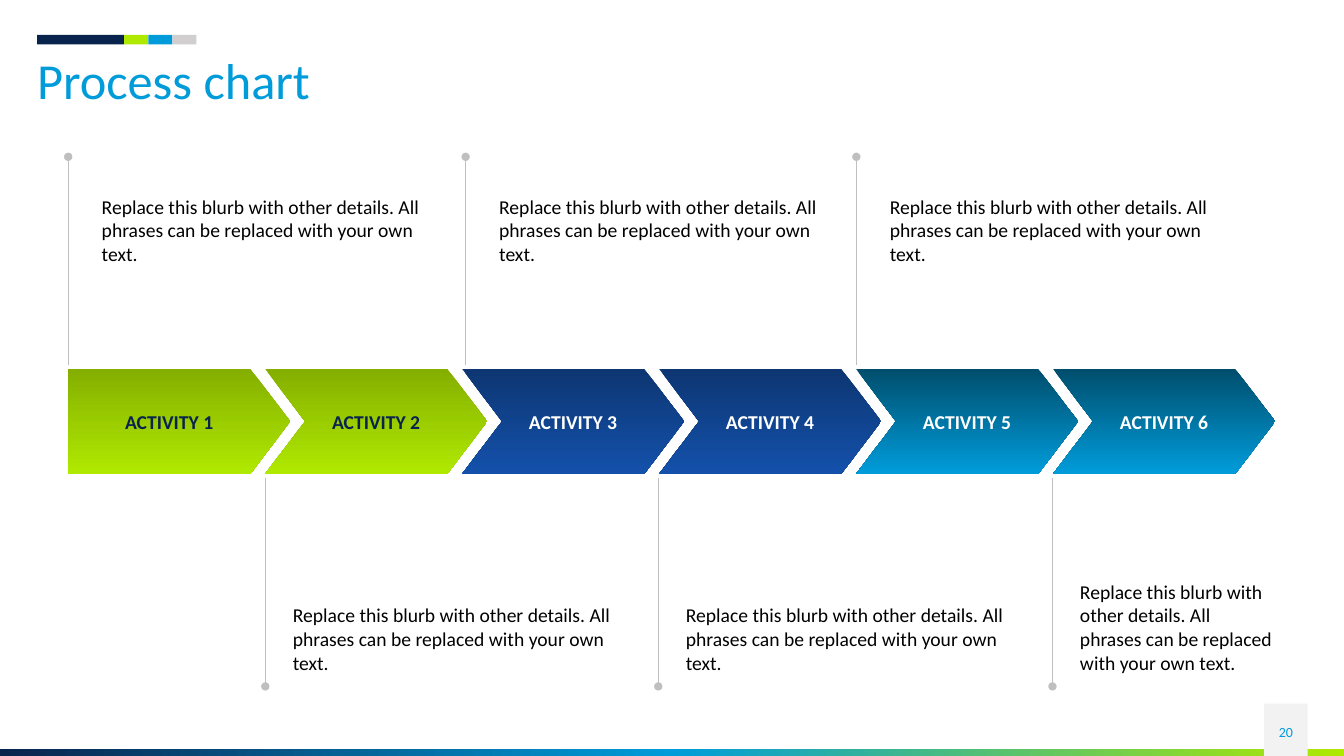
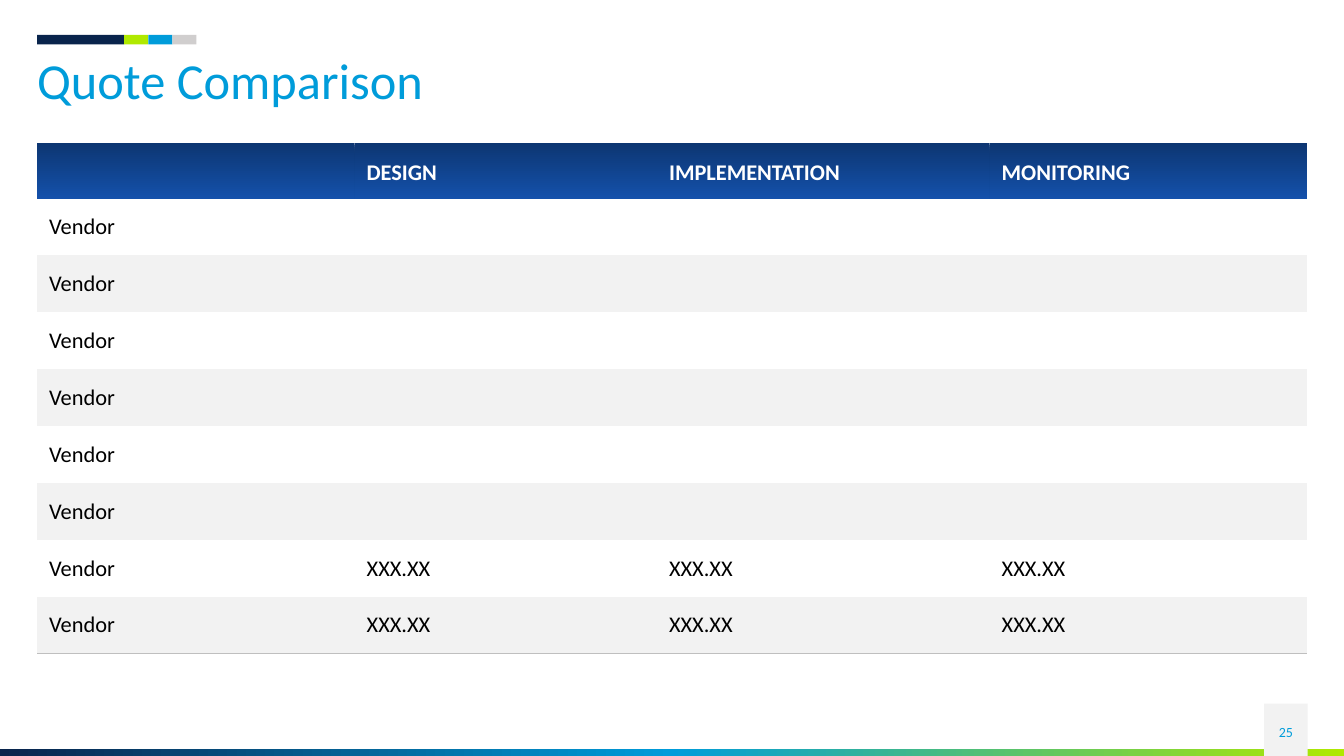
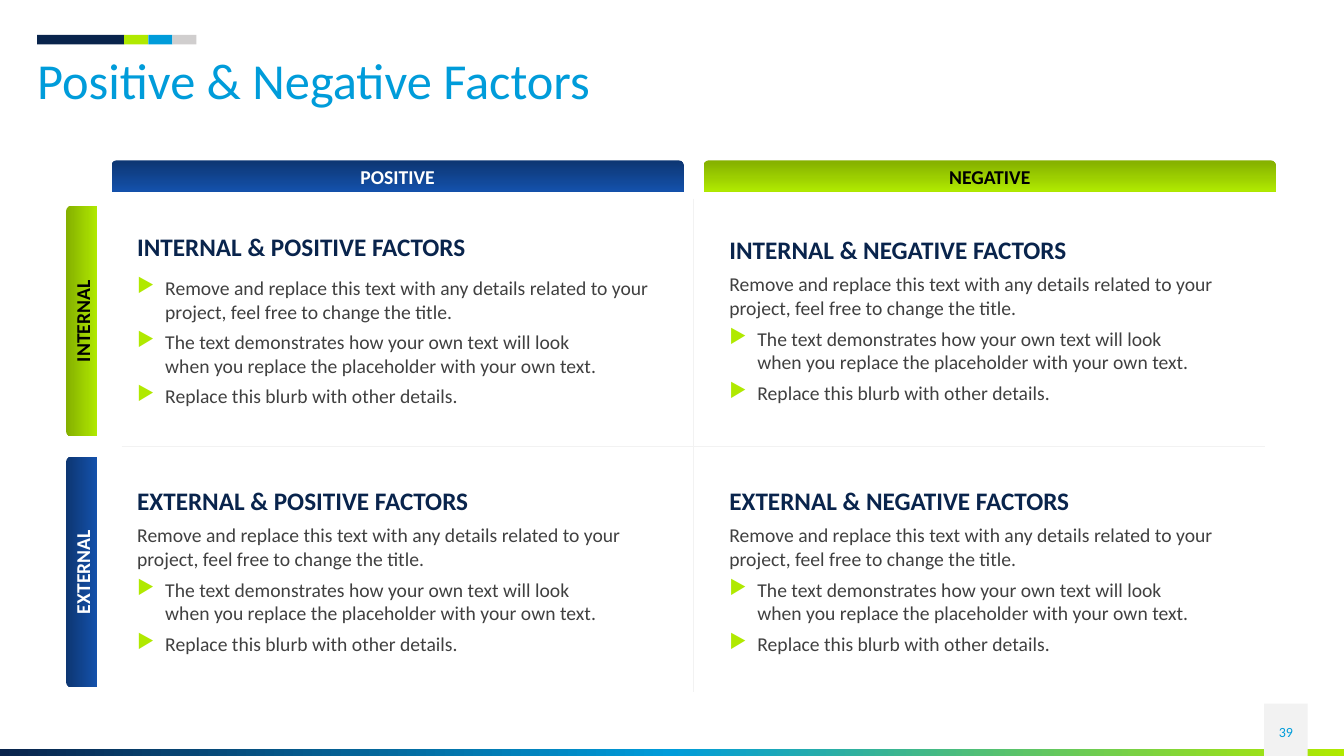
import copy

import lxml.etree
import pptx
import pptx.dml.color
import pptx.enum.shapes
import pptx.enum.text
import pptx.oxml.ns
import pptx.util

Pt = pptx.util.Pt
qn = pptx.oxml.ns.qn
rgb = pptx.dml.color.RGBColor.from_string
SHAPE = pptx.enum.shapes.MSO_SHAPE
ANCHOR = pptx.enum.text.MSO_ANCHOR
CENTER = pptx.enum.text.PP_ALIGN.CENTER

COLORS = {
    "navy": "09244C", "lime": "B0E900", "sky": "009CDA", "silver": "D0CECE",
    "pale": "F2F2F2", "rule": "BFBFBF", "white": "FFFFFF", "black": "000000",
    "body": "404040", "dark lime": "84AF00", "dark blue": "0D3672",
    "blue": "1451AB", "dark sky": "004E6D",
}
LIME = ["dark lime", "lime"]
BLUE = ["dark blue", "blue"]
SKY = ["dark sky", "sky"]
FONT = "Calibri"
MARGIN = 26.5
CONTENT_WIDTH = 907


def add_box(slide, preset, left, top, width, height, colors=()):
    frame = Pt(left), Pt(top), Pt(width), Pt(height)
    if preset is None:
        shape = slide.shapes.add_textbox(*frame)
    else:
        shape = slide.shapes.add_shape(preset, *frame)
        shape.shadow.inherit = False
        shape.line.fill.background()
    if len(colors) == 1:
        shape.fill.solid()
        shape.fill.fore_color.rgb = rgb(COLORS[colors[0]])
    elif colors:
        shape.fill.gradient()
        shape.fill.gradient_angle = 270
        stop_list = next(shape._element.iter(qn("a:gsLst")))
        for _ in colors[2:]:
            stop_list.append(copy.deepcopy(stop_list[0]))
        for index, (stop, color) in enumerate(zip(shape.fill.gradient_stops, colors)):
            stop.color.rgb = rgb(COLORS[color])
            stop.position = index / (len(colors) - 1)
    text_frame = shape.text_frame
    text_frame.word_wrap = True
    text_frame.vertical_anchor = ANCHOR.MIDDLE
    text_frame.margin_left = text_frame.margin_right = 0
    text_frame.margin_top = text_frame.margin_bottom = 0
    return shape


def add_run(paragraph, text, size, color, bold=False):
    run = paragraph.add_run()
    run.text = text
    run.font.name = FONT
    run.font.size = Pt(size)
    run.font.bold = bold
    run.font.color.rgb = rgb(COLORS[color])


presentation = pptx.Presentation()
presentation.slide_width = Pt(960)
presentation.slide_height = Pt(540)

slides = []
for title, number in [("Process chart", "20"), ("Quote Comparison", "25"),
                      ("Positive & Negative Factors", "39")]:
    slide = presentation.slides.add_slide(presentation.slide_layouts[6])
    slides.append(slide)
    footer = add_box(slide, SHAPE.RECTANGLE, 0, 535, 960, 5, ["navy", "sky", "lime"])
    footer.fill.gradient_angle = 0
    add_box(slide, SHAPE.RECTANGLE, 903, 502.7, 31, 37.3, ["pale"])
    left = MARGIN
    for color, width in [("navy", 62.2), ("lime", 17.2), ("sky", 17.2), ("silver", 17.2)]:
        add_box(slide, SHAPE.RECTANGLE, left, 25, width, 6.7, [color])
        left += width
    title_box = add_box(slide, None, MARGIN, 40, CONTENT_WIDTH, 39.6)
    title_box.text_frame.vertical_anchor = ANCHOR.TOP
    paragraph = title_box.text_frame.paragraphs[0]
    paragraph.line_spacing = 0.9
    add_run(paragraph, title, 36, "sky")
    number_box = add_box(slide, None, 903, 508, 31, 29)
    paragraph = number_box.text_frame.paragraphs[0]
    paragraph.alignment = CENTER
    add_run(paragraph, number, 10, "sky")

process_slide, quote_slide, factors_slide = slides

BLURB = ("Replace this blurb with other details. "
         "All phrases can be replaced with your own text.")
callout_lefts = [48.7, 189.5, 332.6, 470.2, 611.7, 751.8]
for index, callout_left in enumerate(callout_lefts):
    preset = SHAPE.CHEVRON if index else SHAPE.PENTAGON
    arrow = add_box(process_slide, preset, 48.7 + 140.7 * index, 263.5, 158.6, 75,
                    [LIME, BLUE, SKY][index // 2])
    arrow.adjustments[0] = 0.38
    paragraph = arrow.text_frame.paragraphs[0]
    paragraph.alignment = CENTER
    add_run(paragraph, f"ACTIVITY {index + 1}", 14, "white" if index > 1 else "navy", True)

    above = index % 2 == 0
    start, end = (260.6, 112) if above else (341.3, 490.3)
    connector = process_slide.shapes.add_connector(
        pptx.enum.shapes.MSO_CONNECTOR.STRAIGHT,
        Pt(callout_left), Pt(start), Pt(callout_left), Pt(end))
    connector.line.color.rgb = rgb(COLORS["rule"])
    connector.line.width = Pt(0.75)
    line = connector._element.spPr.find(qn("a:ln"))
    lxml.etree.SubElement(line, qn("a:tailEnd"), type="oval")
    lxml.etree.SubElement(connector._element.spPr, qn("a:effectLst"))

    width, height = (156.2, 68) if index == 5 else (260.6, 51)
    if above:
        blurb = add_box(process_slide, None, callout_left + 15.3, 139, width, height)
        blurb.text_frame.vertical_anchor = ANCHOR.TOP
    else:
        blurb = add_box(process_slide, None, callout_left + 11, 481.4 - height, width, height)
        blurb.text_frame.vertical_anchor = ANCHOR.BOTTOM
    blurb.text_frame.margin_left = blurb.text_frame.margin_right = Pt(8.64)
    add_run(blurb.text_frame.paragraphs[0], BLURB, 14, "black")

rows = [["", "DESIGN", "IMPLEMENTATION", "MONITORING"]]
rows += [["Vendor", "", "", ""]] * 6
rows += [["Vendor", "XXX.XX", "XXX.XX", "XXX.XX"]] * 2
table = quote_slide.shapes.add_table(
    len(rows), 4, Pt(MARGIN), Pt(102.2), Pt(CONTENT_WIDTH), Pt(365)).table
table._tbl.tblPr.find(qn("a:tableStyleId")).text = "{2D5ABB26-0587-4C30-8999-92F81FD0307C}"
table.horz_banding = False
for column, width in zip(table.columns, [226.8, 216, 237.6, 226.8]):
    column.width = Pt(width)
for row_index, values in enumerate(rows):
    header = row_index == 0
    table.rows[row_index].height = Pt(39.6 if header else 40.65)
    for column_index, value in enumerate(values):
        cell = table.cell(row_index, column_index)
        cell.margin_left = cell.margin_right = Pt(8.64)
        cell.margin_top = cell.margin_bottom = Pt(8.64 if header else 5.76)
        cell.vertical_anchor = ANCHOR.BOTTOM if header else ANCHOR.MIDDLE
        if header:
            cell.fill.gradient()
            cell.fill.gradient_angle = 270
            for stop, color in zip(cell.fill.gradient_stops, BLUE):
                stop.color.rgb = rgb(COLORS[color])
        elif row_index % 2 == 0:
            cell.fill.solid()
            cell.fill.fore_color.rgb = rgb(COLORS["pale"])
        else:
            cell.fill.background()
        paragraph = cell.text_frame.paragraphs[0]
        if value:
            add_run(paragraph, value, 16, "white" if header else "black", header)
        else:
            paragraph.font.size = Pt(16)
        if row_index == len(rows) - 1:
            border = lxml.etree.Element(qn("a:lnB"), w=str(Pt(0.75)))
            border_fill = lxml.etree.SubElement(border, qn("a:solidFill"))
            lxml.etree.SubElement(border_fill, qn("a:srgbClr"), val=COLORS["rule"])
            cell._tc.get_or_add_tcPr().insert(0, border)

DETAILS = [
    ["Remove and replace this text with any details related to your project, "
     "feel free to change the title."],
    ["The text demonstrates how your own text will look ",
     "when you replace the placeholder with your own text."],
    ["Replace this blurb with other details."],
]
tabs = [
    ("POSITIVE", 79.7, 114.5, 408.6, 0, BLUE, "white"),
    ("NEGATIVE", 502.7, 114.5, 408.6, 0, LIME, "black"),
    ("INTERNAL", -24, 218.3, 164.6, 270, LIME, "black"),
    ("EXTERNAL", -24, 397.4, 164.6, 270, BLUE, "white"),
]
for label, left, top, width, rotation, colors, text_color in tabs:
    tab = add_box(factors_slide, SHAPE.ROUND_2_SAME_RECTANGLE, left, top, width, 22.3, colors)
    tab.rotation = rotation
    paragraph = tab.text_frame.paragraphs[0]
    paragraph.alignment = CENTER
    add_run(paragraph, label, 14, text_color, True)

for row_label, top in [("INTERNAL", 147), ("EXTERNAL", 326.2)]:
    for column_label, left in [("POSITIVE", 98), ("NEGATIVE", 521)]:
        first_quadrant = (row_label, column_label) == ("INTERNAL", "POSITIVE")
        quadrant = add_box(factors_slide, None, left, top, 370.8, 164.9)
        paragraph = quadrant.text_frame.paragraphs[0]
        paragraph.line_spacing = 0.9
        add_run(paragraph, f"{row_label} & {column_label} FACTORS", 18, "navy", True)
        for index, lines in enumerate(DETAILS):
            paragraph = quadrant.text_frame.add_paragraph()
            if index or first_quadrant:
                properties = paragraph._p.get_or_add_pPr()
                properties.set("marL", str(Pt(20)))
                properties.set("indent", str(Pt(-20)))
                bullet_color = lxml.etree.SubElement(properties, qn("a:buClr"))
                lxml.etree.SubElement(bullet_color, qn("a:srgbClr"), val=COLORS["lime"])
                lxml.etree.SubElement(properties, qn("a:buChar"), char="▶")
            if first_quadrant:
                paragraph.space_before = Pt(5 if index else 10)
            else:
                paragraph.space_before = Pt(5.3)
            for line_index, text in enumerate(lines):
                if line_index:
                    paragraph.add_line_break()
                add_run(paragraph, text, 14, "body")

for ends in [(495.4, 141.8, 495.4, 494.6), (87, 319, 903.6, 319)]:
    divider = factors_slide.shapes.add_connector(
        pptx.enum.shapes.MSO_CONNECTOR.STRAIGHT, *[Pt(value) for value in ends])
    divider.line.color.rgb = rgb(COLORS["pale"])
    divider.line.width = Pt(0.5)
    lxml.etree.SubElement(divider._element.spPr, qn("a:effectLst"))

presentation.save("out.pptx")
